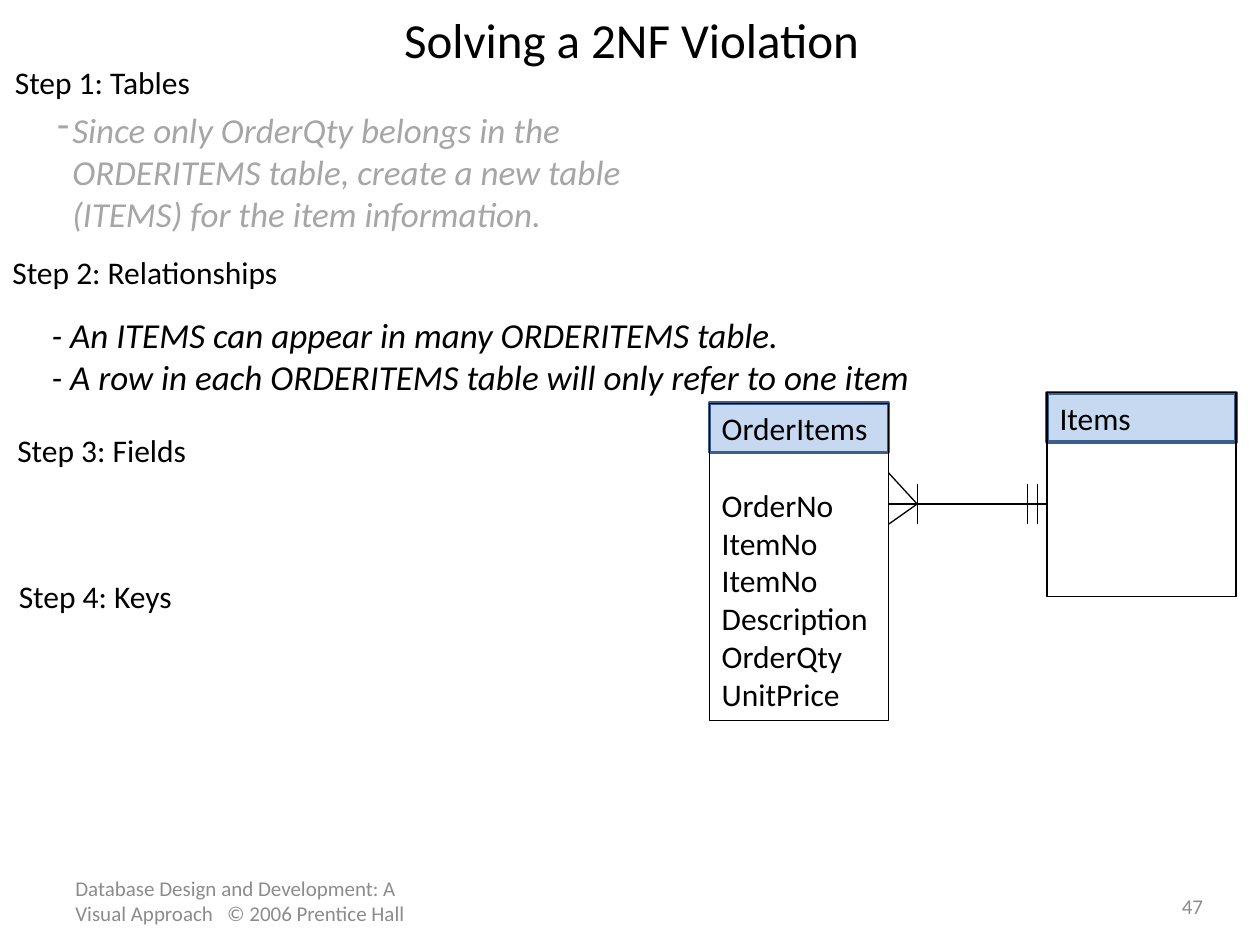
from lxml import etree
from pptx import Presentation
from pptx.dml.color import RGBColor
from pptx.enum import shapes, text
from pptx.oxml import ns
from pptx.util import Cm, Pt

BLACK = RGBColor(0, 0, 0)
FOOTER_GRAY = RGBColor(0x8C, 0x8C, 0x8C)
FADED_GRAY = RGBColor(0xA6, 0xA6, 0xA6)
HEADER_FILL = RGBColor(0xC6, 0xD9, 0xF1)
HEADER_LINE = RGBColor(0x3A, 0x5F, 0x8C)
FONT = "Calibri"
LEFT, CENTER = text.PP_ALIGN.LEFT, text.PP_ALIGN.CENTER

CENTERED_BOXES = [
    ("Solving a 2NF Violation", (1.3, 0.05, 22.86, 1.47), 28, BLACK, CENTER),
    ("Database Design and Development: A Visual Approach   © 2006 Prentice Hall",
     (1.27, 17.65, 7.47, 1.02), 12, FOOTER_GRAY, LEFT),
    ("47", (23.29, 17.86, 1.5, 0.81), 12, FOOTER_GRAY, CENTER),
]
STEPS = [
    ("Step 1: Tables", (0.05, 1.14, 4.6, 1.02)),
    ("Step 2: Relationships", (0, 4.98, 6.5, 1.02)),
    ("Step 3: Fields", (0.1, 8.56, 4.39, 1.02)),
    ("Step 4: Keys", (0.13, 11.51, 4.11, 1.02)),
]
NOTES = [
    (["Since only OrderQty belongs in the ORDERITEMS table, create a new table "
      "(ITEMS) for the item information."],
     (0.91, 2.06, 11.99, 2.82), FADED_GRAY, "-"),
    (["- An ITEMS can appear in many ORDERITEMS table.",
      "- A row in each ORDERITEMS table will only refer to one item"],
     (0.79, 6.2, 18.52, 1.96), BLACK, None),
]
ENTITIES = [
    (["OrderItems", "OrderNo", "ItemNo", "ItemNo", "Description", "OrderQty", "UnitPrice"],
     (14.3, 8.13, 3.61, 6.4)),
    (["Items"], (21.11, 7.92, 3.81, 4.11)),
]
HEADER_HEIGHT = 0.99
FIELD_GAP = Pt(22)
MANY_X, ONE_X, LINK_Y = 17.91, 21.11, 10.16
FOOT_X = MANY_X + 0.58
PRONG_ENDS = [9.53, 10.57]
BAR_XS = [FOOT_X, ONE_X - 0.4, ONE_X - 0.2]
BAR_HALF = 0.41


def write(frame, lines, size, color, italic=False, align=LEFT, hanging=False, bullet=None):
    for index, line in enumerate(lines):
        para = frame.paragraphs[0] if index == 0 else frame.add_paragraph()
        para.text = line
        para.alignment = align
        if hanging:
            properties = para._p.get_or_add_pPr()
            properties.set("marL", str(Cm(0.3)))
            properties.set("indent", str(-Cm(0.3)))
            if bullet:
                etree.SubElement(properties, ns.qn("a:buChar")).set("char", bullet)
        para.font.name = FONT
        para.font.size = Pt(size)
        para.font.italic = italic
        para.font.color.rgb = color


def add_text(page, lines, place, size, color, wrap=True,
             anchor=text.MSO_ANCHOR.TOP, **style):
    frame = page.shapes.add_textbox(*map(Cm, place)).text_frame
    frame.word_wrap = wrap
    frame.vertical_anchor = anchor
    write(frame, lines, size, color, **style)


def add_box(page, place, line_color, line_width, fill=None):
    box = page.shapes.add_shape(shapes.MSO_SHAPE.RECTANGLE, *map(Cm, place))
    box.shadow.inherit = False
    if fill is None:
        box.fill.background()
    else:
        box.fill.solid()
        box.fill.fore_color.rgb = fill
    box.line.color.rgb = line_color
    box.line.width = Pt(line_width)
    return box


def add_entity(page, lines, place):
    left, top, width, height = place
    add_box(page, (left, top, width, HEADER_HEIGHT), HEADER_LINE, 2, HEADER_FILL)
    frame = add_box(page, place, BLACK, 0.75).text_frame
    frame.word_wrap = True
    frame.vertical_anchor = text.MSO_ANCHOR.TOP
    write(frame, lines, 18, BLACK)
    for para in frame.paragraphs[1:2]:
        para.space_before = FIELD_GAP


def add_line(page, *ends):
    line = page.shapes.add_connector(shapes.MSO_CONNECTOR.STRAIGHT, *map(Cm, ends))
    line.line.color.rgb = BLACK
    line.line.width = Pt(0.75)
    etree.SubElement(line._element.spPr, ns.qn("a:effectLst"))


def main():
    deck = Presentation()
    deck.slide_width, deck.slide_height = Cm(25.4), Cm(19.05)
    page = deck.slides.add_slide(deck.slide_layouts[6])

    for words, place, size, color, align in CENTERED_BOXES:
        add_text(page, [words], place, size, color,
                 anchor=text.MSO_ANCHOR.MIDDLE, align=align)
    for words, place in STEPS:
        add_text(page, [words], place, 18, BLACK, wrap=False)
    for lines, place, color, bullet in NOTES:
        add_text(page, lines, place, 20, color, italic=True, hanging=True, bullet=bullet)
    for lines, place in ENTITIES:
        add_entity(page, lines, place)

    add_line(page, ONE_X, LINK_Y, MANY_X, LINK_Y)
    for end in PRONG_ENDS:
        add_line(page, FOOT_X, LINK_Y, MANY_X, end)
    for x in BAR_XS:
        add_line(page, x, LINK_Y + BAR_HALF, x, LINK_Y - BAR_HALF)

    deck.save("out.pptx")


if __name__ == "__main__":
    main()
